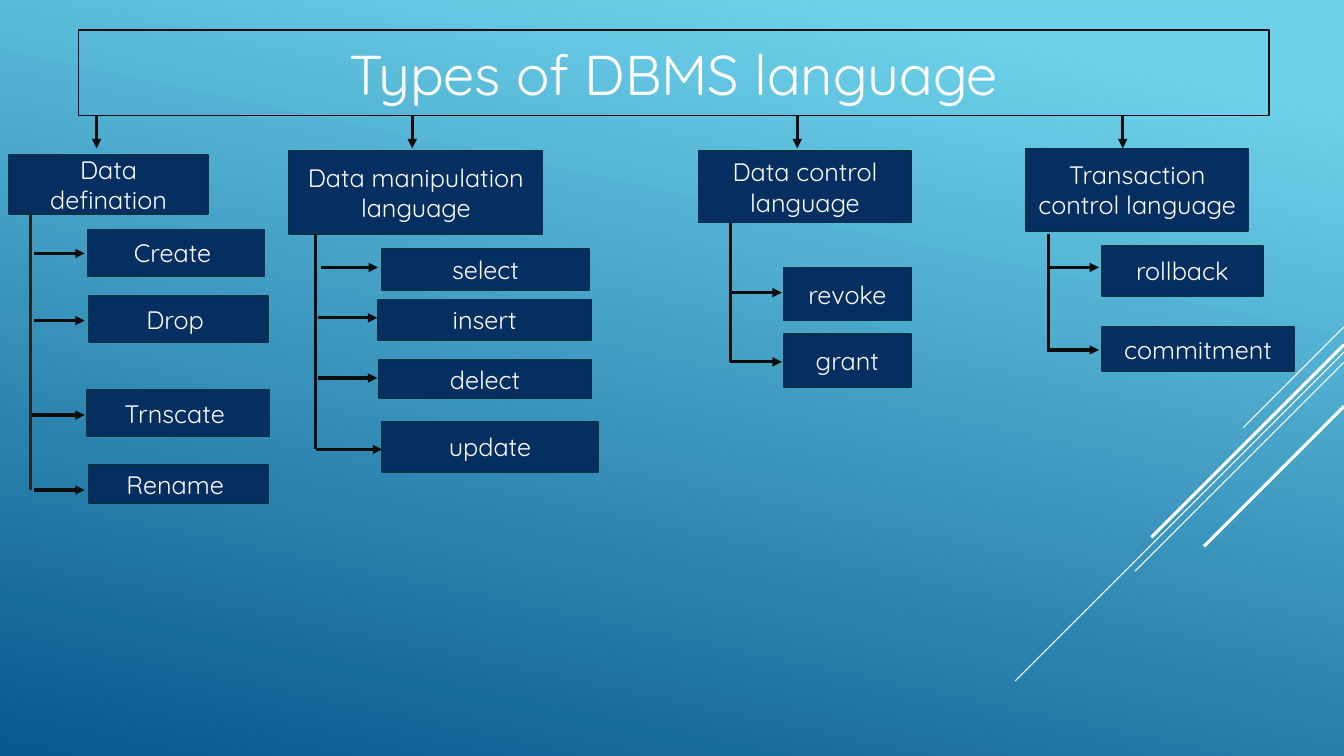
from pptx import Presentation
from pptx.dml.color import RGBColor
from pptx.enum.shapes import MSO_CONNECTOR, MSO_SHAPE
from pptx.enum.text import MSO_ANCHOR, MSO_AUTO_SIZE, PP_ALIGN
from pptx.oxml.ns import qn
from pptx.util import Pt
from lxml.etree import SubElement

FONT = "Quicksand"
COLORS = {"sky": "6ED2EB", "deep": "06588E", "white": "FFFFFF", "navy": "052F61",
          "edge": "043148", "black": "0D0D0D", "gray": "262626"}

TITLE = ("Types of DBMS language", (56, 21.5, 850.5, 61))
DROP_TOP, DROP_END = 82, 106

# Each box is (left, top, width, height); each item's arrow is (start x, tip x, y)
BRANCHES = [
    {"head": "Data defination", "box": (6.5, 111, 142, 42), "drop": 69,
     "trunk": (21.5, 152.5, 350), "color": "gray",
     "items": [("Create ", (62.5, 164, 126.5, 33), (24, 60.5, 181)),
               ("Drop ", (63.5, 211.5, 128, 33), (24, 60.5, 229)),
               ("Trnscate ", (62, 278.5, 130.5, 33), (23, 60.5, 296.5)),
               ("Rename ", (63.5, 332, 128, 27.5), (24, 60.5, 350))]},
    {"head": "Data manipulation language", "box": (206.5, 108, 181, 59), "drop": 294.5,
     "trunk": (225.5, 167, 321), "color": "black",
     "items": [("select", (273, 178, 147.5, 29), (229, 270, 191)),
               ("insert", (270, 214, 152.5, 29), (227.5, 269.5, 227)),
               ("delect", (270.5, 257, 152, 27.5), (227.5, 269.5, 270)),
               ("update", (273, 301.5, 154, 35.5), (225.5, 273, 321))]},
    {"head": "Data control language", "box": (499, 108, 152, 51), "drop": 569.5,
     "trunk": (521.5, 159, 258.5), "color": "black",
     "items": [("revoke", (560, 191, 90.5, 38), (521.5, 558.5, 209)),
               ("grant", (560, 238.5, 90.5, 38), (521.5, 558.5, 258.5))]},
    {"head": "Transaction control language", "box": (733, 106, 158.5, 59), "drop": 802,
     "trunk": (749, 167, 251.5), "color": "black",
     "items": [("rollback", (787, 175.5, 115, 36), (749, 785, 191)),
               ("commitment", (787, 233.5, 137.5, 31.5), (749, 785, 250))]},
]

# Diagonals at 45 degrees from the right edge: (top, run, line width)
SLIDE_W, SLIDE_H = 960, 540
DIAGONALS = [(233.5, 72, 0.75), (251.5, 234.75, 0.75), (258.75, 149.25, 0.75),
             (246.25, 137.5, 2.25), (290.25, 100, 2.25)]


def rgb(name):
    return RGBColor.from_string(COLORS[name])


def write(sp, text, size):
    tf = sp.text_frame
    tf.text = text
    tf.word_wrap = True
    tf.auto_size = MSO_AUTO_SIZE.NONE
    tf.vertical_anchor = MSO_ANCHOR.MIDDLE
    p = tf.paragraphs[0]
    p.alignment = PP_ALIGN.CENTER
    font = p.runs[0].font
    font.name, font.size = FONT, Pt(size)
    font.color.rgb = rgb("white")


def add_box(s, text, box):
    sp = s.shapes.add_shape(MSO_SHAPE.RECTANGLE, *map(Pt, box))
    sp.shadow.inherit = False
    sp.fill.solid()
    sp.fill.fore_color.rgb = rgb("navy")
    sp.line.color.rgb = rgb("edge")
    sp.line.width = Pt(1.25)
    write(sp, text, 18)


def add_line(s, ends, color="black", width=2.25, arrow=False):
    cx = s.shapes.add_connector(MSO_CONNECTOR.STRAIGHT, *map(Pt, ends))
    cx.line.color.rgb = rgb(color)
    cx.line.width = Pt(width)
    if arrow:
        SubElement(cx.line._get_or_add_ln(), qn("a:tailEnd"), type="triangle")
    SubElement(cx._element.spPr, qn("a:effectLst"))


def main():
    prs = Presentation()
    prs.slide_width, prs.slide_height = Pt(SLIDE_W), Pt(SLIDE_H)
    s = prs.slides.add_slide(prs.slide_layouts[5])

    # Background gradient
    fill = s.background.fill
    fill.gradient()
    fill.gradient_angle = 258
    for stop, pos, color in zip(fill.gradient_stops, (0.1, 1), ("sky", "deep")):
        stop.position = pos
        stop.color.rgb = rgb(color)

    # Decorative diagonals
    for top, run, width in DIAGONALS:
        add_line(s, (SLIDE_W, top, SLIDE_W - run, top + run), "white", width)

    # Title
    text, box = TITLE
    title = s.shapes.title
    title.left, title.top, title.width, title.height = map(Pt, box)
    title.line.color.rgb = rgb("black")
    title.line.width = Pt(1.25)
    write(title, text, 40)

    # Branches: drop arrow, heading, trunk, items
    for b in BRANCHES:
        add_line(s, (b["drop"], DROP_TOP, b["drop"], DROP_END), arrow=True)
        add_box(s, b["head"], b["box"])
        x, top, bottom = b["trunk"]
        add_line(s, (x, top, x, bottom), b["color"])
        for text, box, (start, tip, y) in b["items"]:
            add_line(s, (start, y, tip, y), arrow=True)
            add_box(s, text, box)

    prs.save("out.pptx")


if __name__ == "__main__":
    main()
